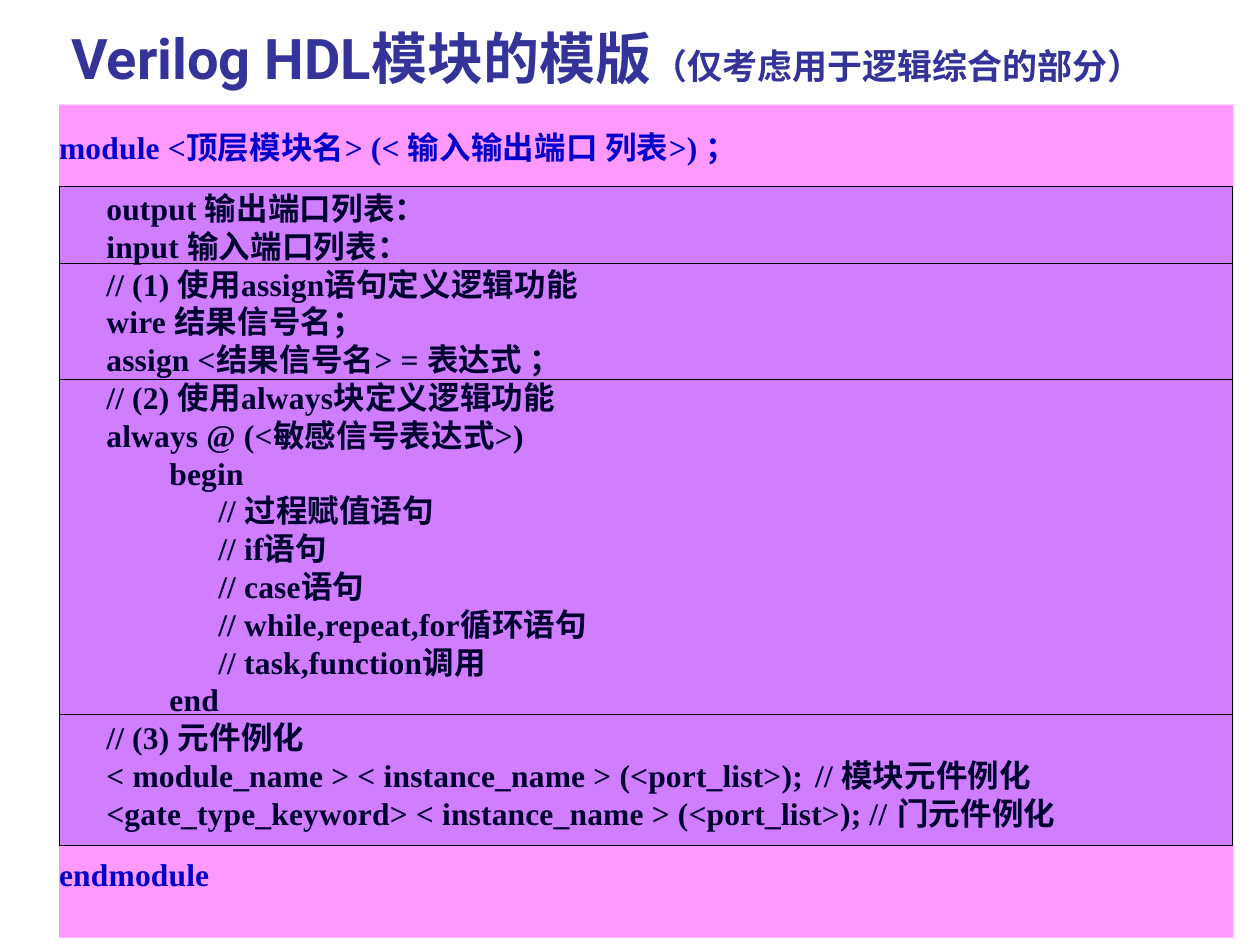
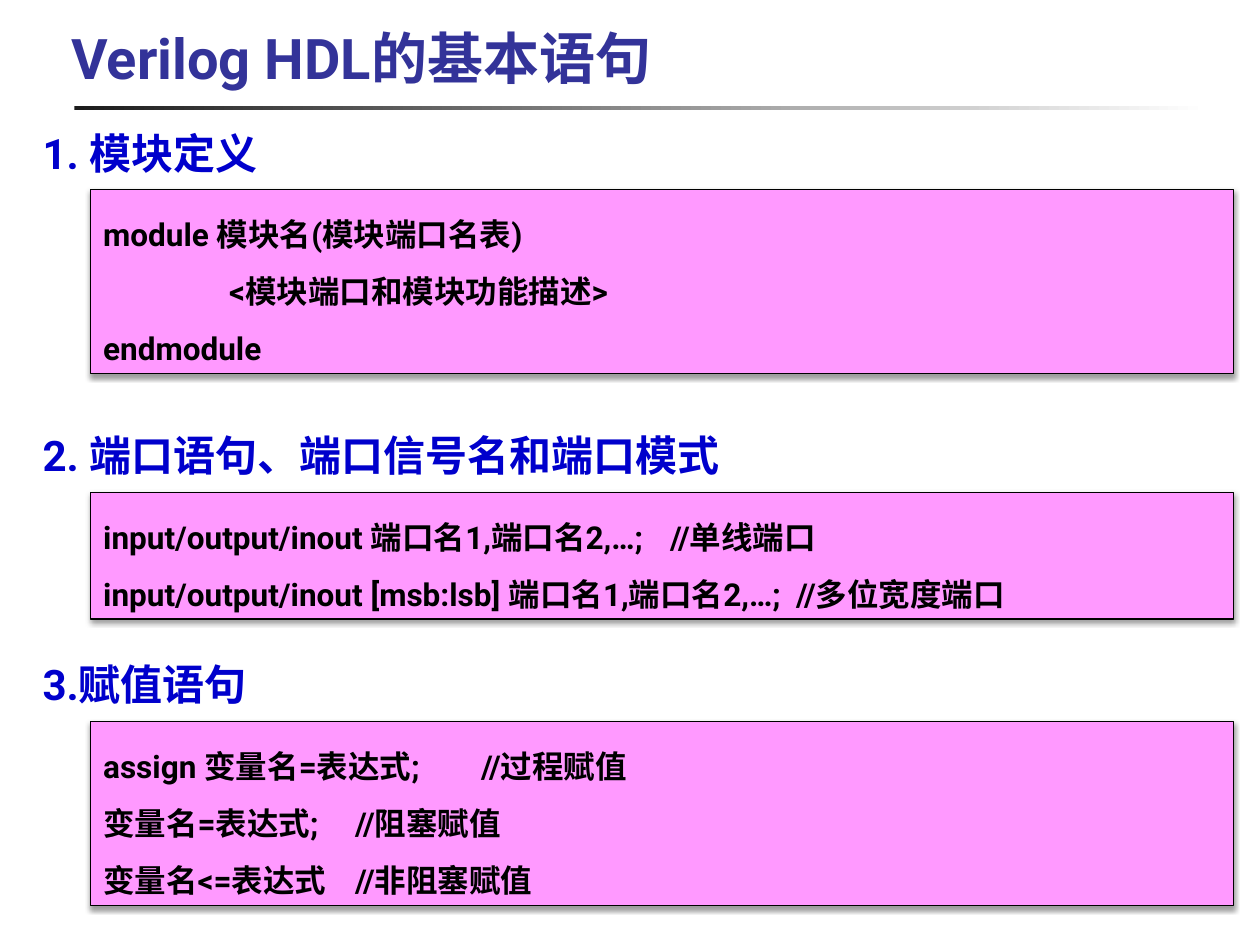
import dataclasses

import lxml.etree
import pptx
import pptx.dml.color
import pptx.enum.shapes
import pptx.enum.text
import pptx.oxml.ns
import pptx.util

Pt = pptx.util.Pt
qn = pptx.oxml.ns.qn
ANCHOR = pptx.enum.text.MSO_ANCHOR


@dataclasses.dataclass(frozen=True)
class Theme:
    title: str = "333399"
    keyword: str = "0000CC"
    ink: str = "000000"
    panel: str = "FF99FF"
    section: str = "0000FF"
    rule_start: str = "1C1C1C"
    rule_end: str = "FFFFFF"
    sans: str = "Roboto"
    serif: str = "Times New Roman"
    title_size: float = 32
    note_size: float = 20
    heading_size: float = 24
    code_size: float = 18
    leading: float = 1.2


THEME = Theme()
TITLE_BOX = (33.8, 16.6, 671, 38.9)
RULE_BOX = (42.5, 60.5, 648, 2.2)

TEMPLATE_BOX = (33.8, 59.8, 671, 476)
SECTION_TOP = 46.8
SECTION_HEIGHTS = (43.9, 66.3, 191.4, 74.9)
BODY, BLOCK, STATEMENT = 27, 63, 91
# Each entry: indent, text
TEMPLATE_BODY = (
    (BODY, "output 输出端口列表："),
    (BODY, "input 输入端口列表："),
    (BODY, "// (1) 使用assign语句定义逻辑功能"),
    (BODY, "wire 结果信号名；"),
    (BODY, "assign <结果信号名> = 表达式 ；"),
    (BODY, "// (2) 使用always块定义逻辑功能"),
    (BODY, "always @ (<敏感信号表达式>)"),
    (BLOCK, "begin"),
    (STATEMENT, "// 过程赋值语句"),
    (STATEMENT, "// if语句"),
    (STATEMENT, "// case语句"),
    (STATEMENT, "// while,repeat,for循环语句"),
    (STATEMENT, "// task,function调用"),
    (BLOCK, "end"),
    (BODY, "// (3) 元件例化"),
    (BODY, "< module_name > < instance_name > (<port_list>);\t// 模块元件例化"),
    (BODY, "<gate_type_keyword> < instance_name > (<port_list>); // 门元件例化"),
)

# Each entry: top, heading, code lines as (text, format)
STATEMENTS = (
    (69.1, "1. 模块定义", (
        ("module 模块名(模块端口名表)", {}),
        ("<模块端口和模块功能描述>", {"indent": 72}),
        ("endmodule", {}))),
    (241.9, "2. 端口语句、端口信号名和端口模式", (
        ("input/output/inout 端口名1,端口名2,…;\t//单线端口", {"tab": 504}),
        ("input/output/inout [msb:lsb] 端口名1,端口名2,…;\t//多位宽度端口",
         {"tab": 432}))),
    (373, "3.赋值语句", (
        ("assign 变量名=表达式;\t//过程赋值", {"tab": 288}),
        ("变量名=表达式;\t//阻塞赋值", {"tab": 288}),
        ("变量名<=表达式\t//非阻塞赋值", {"tab": 288}))),
)


def rgb(colour):
    return pptx.dml.color.RGBColor.from_string(colour)


def add_run(paragraph, text, size, color, font, tracking=0):
    run = paragraph.add_run()
    run.text = text
    run.font.size = Pt(size)
    run.font.bold = True
    run.font.name = font
    run.font.color.rgb = rgb(color)
    if tracking:
        run.font._element.set("spc", str(round(tracking * 100)))


def write(frame, text, size=THEME.code_size, color=THEME.ink, font=THEME.sans,
          spacing=1, before=0, indent=0, tab=None, tracking=0):
    """Add one paragraph, using the empty first one when there is one."""
    paragraph = frame.paragraphs[-1]
    if paragraph.runs:
        paragraph = frame.add_paragraph()
    paragraph.alignment = pptx.enum.text.PP_ALIGN.LEFT
    paragraph.line_spacing = Pt(size * THEME.leading * spacing)
    if before:
        paragraph.space_before = Pt(before)
    properties = paragraph._p.get_or_add_pPr()
    properties.set("marL", "0")
    properties.set("indent", str(Pt(indent)))
    if tab:
        stops = lxml.etree.SubElement(properties, qn("a:tabLst"))
        lxml.etree.SubElement(stops, qn("a:tab"), pos=str(Pt(tab)), algn="l")
    add_run(paragraph, text, size, color, font, tracking)
    return paragraph


def add_text_box(slide, box, anchor=ANCHOR.TOP):
    frame = slide.shapes.add_textbox(*map(Pt, box)).text_frame
    frame.word_wrap = True
    frame.vertical_anchor = anchor
    return frame


def add_panel(slide, box, fill, line_width=0, opacity=None):
    panel = slide.shapes.add_shape(
        pptx.enum.shapes.MSO_SHAPE.RECTANGLE, *map(Pt, box))
    panel.shadow.inherit = False
    panel.fill.solid()
    panel.fill.fore_color.rgb = rgb(fill)
    if opacity is not None:
        colour = panel._element.spPr.find(qn("a:solidFill"))[0]
        lxml.etree.SubElement(colour, qn("a:alpha"), val=str(opacity * 1000))
    if line_width:
        panel.line.color.rgb = rgb(THEME.ink)
        panel.line.width = Pt(line_width)
    else:
        panel.line.fill.background()
    panel.text_frame.word_wrap = True
    panel.text_frame.vertical_anchor = ANCHOR.TOP
    return panel


def add_drop_shadow(panel):
    effects = panel._element.spPr.find(qn("a:effectLst"))
    shadow = lxml.etree.SubElement(
        effects, qn("a:outerShdw"), blurRad=str(Pt(3.1)), dist=str(Pt(1.6)),
        dir="5400000", algn="t", rotWithShape="0")
    colour = lxml.etree.SubElement(shadow, qn("a:srgbClr"), val=THEME.ink)
    lxml.etree.SubElement(colour, qn("a:alpha"), val="38000")


def add_title(slide, title, note=""):
    frame = add_text_box(slide, TITLE_BOX, ANCHOR.BOTTOM)
    paragraph = write(frame, title, size=THEME.title_size, color=THEME.title)
    if note:
        add_run(paragraph, note, THEME.note_size, THEME.title, THEME.sans)


def add_title_rule(slide):
    rule = add_panel(slide, RULE_BOX, THEME.rule_start)
    rule.fill.gradient()
    rule.fill.gradient_angle = 0
    start, end = rule.fill.gradient_stops
    start.color.rgb, start.position = rgb(THEME.rule_start), 0
    end.color.rgb, end.position = rgb(THEME.rule_end), 1


def add_module_template(slide, box):
    """Draw the module skeleton with its tinted, stacked sections."""
    left, top, width, _ = box
    frame = add_panel(slide, box, THEME.panel).text_frame
    frame.margin_left = frame.margin_right = frame.margin_bottom = 0
    frame.margin_top = Pt(13.4)
    code = {"font": THEME.serif, "tracking": 0.1}
    write(frame, "module <顶层模块名> (< 输入输出端口 列表>) ；",
          color=THEME.keyword, **code)
    for number, (indent, text) in enumerate(TEMPLATE_BODY):
        write(frame, text, indent=indent, before=0 if number else 13.2,
              tab=432 if "\t" in text else None, **code)
    write(frame, "endmodule", color=THEME.keyword, before=13.2, **code)

    section_top = top + SECTION_TOP
    for height in SECTION_HEIGHTS:
        add_panel(slide, (left, section_top, width - 0.7, height),
                  THEME.section, line_width=0.25, opacity=18)
        section_top += height


def add_statement(slide, left, top, heading, lines):
    """Place a heading and, below it, a shadowed panel as tall as its code."""
    write(add_text_box(slide, (left, top, 688, 36.5)), heading,
          size=THEME.heading_size, color=THEME.keyword)
    spacing = 1.51
    height = len(lines) * THEME.code_size * THEME.leading * spacing + 7.2
    panel = add_panel(slide, (left + 34.6, top + 39.4, 653, height),
                      THEME.panel, line_width=0.75)
    add_drop_shadow(panel)
    for text, layout in lines:
        write(panel.text_frame, text, spacing=spacing, **layout)


def build_template_slide(slide):
    add_module_template(slide, TEMPLATE_BOX)
    add_title(slide, "Verilog HDL模块的模版", "（仅考虑用于逻辑综合的部分）")


def build_statements_slide(slide):
    add_title_rule(slide)
    add_title(slide, "Verilog HDL的基本语句")
    for top, heading, lines in STATEMENTS:
        add_statement(slide, 17.3, top, heading, lines)


def main():
    deck = pptx.Presentation()
    deck.slide_width, deck.slide_height = Pt(720), Pt(540)
    blank = deck.slide_layouts[6]
    for build in (build_template_slide, build_statements_slide):
        build(deck.slides.add_slide(blank))
    deck.save("out.pptx")


if __name__ == "__main__":
    main()
